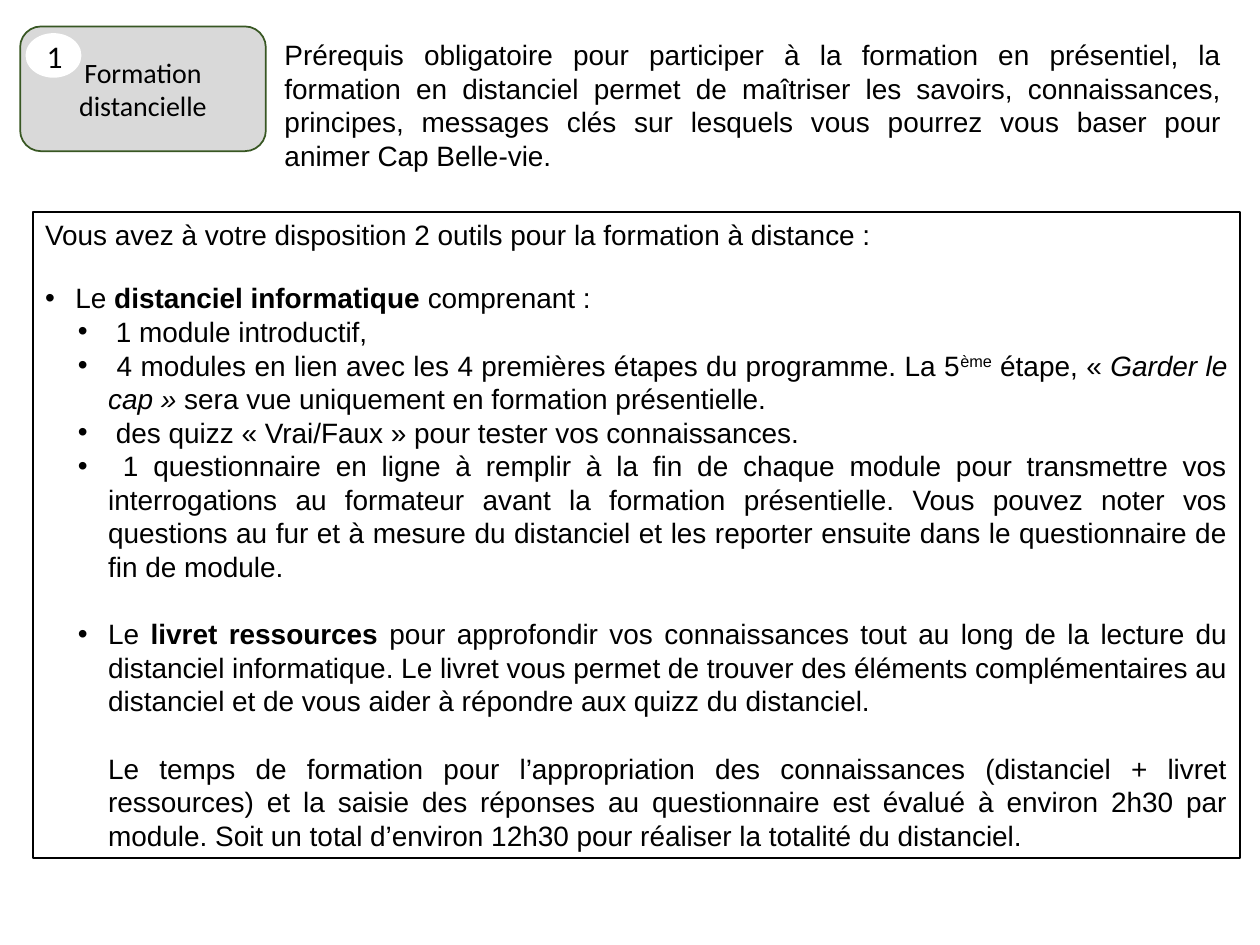
"""Build the slide presenting the distance-learning part of the training."""
from dataclasses import dataclass
from typing import Optional

from lxml import etree
from pptx import Presentation
from pptx.dml.color import RGBColor
from pptx.enum.shapes import MSO_SHAPE
from pptx.enum.text import MSO_ANCHOR, MSO_AUTO_SIZE, PP_ALIGN
from pptx.oxml.ns import qn
from pptx.util import Inches, Pt

BLACK = RGBColor(0x00, 0x00, 0x00)
WHITE = RGBColor(0xFF, 0xFF, 0xFF)
GREY = RGBColor(0xD9, 0xD9, 0xD9)
GREEN = RGBColor(0x38, 0x57, 0x23)

ROUNDED, OVAL, RECTANGLE = MSO_SHAPE.ROUNDED_RECTANGLE, MSO_SHAPE.OVAL, MSO_SHAPE.RECTANGLE
TOP, MIDDLE = MSO_ANCHOR.TOP, MSO_ANCHOR.MIDDLE
CENTER, JUSTIFY = PP_ALIGN.CENTER, PP_ALIGN.JUSTIFY
FIT_SHAPE = MSO_AUTO_SIZE.SHAPE_TO_FIT_TEXT

COLUMNS, ROWS = 1000, 750
BULLET_HANG = 0.24
SUBLEVEL_MARGIN = 0.5
SMALL_GAP, LINE_GAP = 16.8, 19.2


@dataclass(frozen=True)
class Span:
    """A stretch of text with its emphasis."""
    text: str
    bold: bool = False
    italic: bool = False
    superscript: bool = False


@dataclass(frozen=True)
class Item:
    """A paragraph with its level, bullet and space before in points."""
    spans: tuple[Span, ...]
    level: int = 0
    bullet: bool = False
    gap: float = 0


@dataclass(frozen=True)
class Panel:
    """A text panel placed in grid columns and rows."""
    column: int
    row: int
    width: int
    height: int
    items: tuple[Item, ...]
    geometry: Optional[MSO_SHAPE] = None
    fill: RGBColor = WHITE
    line: RGBColor = BLACK
    font: str = "Arial"
    size: int = 16
    align: PP_ALIGN = JUSTIFY
    anchor: MSO_ANCHOR = TOP


def plain(text: str, level: int = 0, bullet: bool = False, gap: float = 0) -> Item:
    """Return a paragraph without emphasis."""
    return Item((Span(text),), level, bullet, gap)


PANELS = (
    Panel(16, 21, 195, 99, (plain("Formation distancielle"),), ROUNDED, GREY, GREEN,
          "Calibri", 16, CENTER, MIDDLE),
    Panel(21, 27, 43, 34, (plain("1"),), OVAL, WHITE, WHITE, "Calibri", 18, CENTER, MIDDLE),
    Panel(26, 168, 958, 513, (
        plain("Vous avez à votre disposition 2 outils pour la formation à distance :"),
        Item((Span("Le "), Span("distanciel informatique ", bold=True),
              Span("comprenant :")), 0, True, SMALL_GAP),
        plain(" 1 module introductif,", 1, True),
        Item((Span(" 4 modules en lien avec les 4 premières étapes du programme. La 5"),
              Span("ème", superscript=True), Span(" étape, « "),
              Span("Garder le cap » ", italic=True),
              Span("sera vue uniquement en formation présentielle.")), 1, True),
        plain(" des quizz « Vrai/Faux » pour tester vos connaissances.", 1, True),
        plain(" 1 questionnaire en ligne à remplir à la fin de chaque module pour transmettre "
              "vos interrogations au formateur avant la formation présentielle. Vous pouvez "
              "noter vos questions au fur et à mesure du distanciel et les reporter ensuite "
              "dans le questionnaire de fin de module.", 1, True),
        Item((Span("Le "), Span("livret ressources ", bold=True),
              Span("pour approfondir vos connaissances tout au long de la lecture du "
                   "distanciel informatique. Le livret vous permet de trouver des éléments "
                   "complémentaires au distanciel et de vous aider à répondre aux quizz du "
                   "distanciel.")), 1, True, LINE_GAP),
        plain("Le temps de formation pour l’appropriation des connaissances (distanciel + "
              "livret ressources) et la saisie des réponses au questionnaire est évalué à "
              "environ 2h30 par module. Soit un total d’environ 12h30 pour réaliser la "
              "totalité du distanciel.", 1, False, LINE_GAP),
    ), RECTANGLE),
    Panel(216, 25, 763, 117, (
        plain("Prérequis obligatoire pour participer à la formation en présentiel, la "
              "formation en distanciel permet de maîtriser les savoirs, connaissances, "
              "principes, messages clés sur lesquels vous pourrez vous baser pour animer "
              "Cap Belle-vie."),)),
)


def set_indent(paragraph, item: Item) -> None:
    """Set the margin, hanging indent and bullet of a paragraph."""
    margin = SUBLEVEL_MARGIN if item.level else BULLET_HANG * item.bullet
    properties = paragraph._p.get_or_add_pPr()
    properties.set("marL", str(Inches(margin)))
    properties.set("indent", str(-Inches(BULLET_HANG) if item.bullet else 0))
    if item.bullet:
        etree.SubElement(properties, qn("a:buFont"), typeface="Arial")
        etree.SubElement(properties, qn("a:buChar"), char="•")
    else:
        etree.SubElement(properties, qn("a:buNone"))


def write_item(paragraph, item: Item, panel: Panel) -> None:
    """Write one paragraph of a panel."""
    set_indent(paragraph, item)
    paragraph.level = item.level
    paragraph.alignment = panel.align
    if item.gap:
        paragraph.space_before = Pt(item.gap)
    paragraph.font.name = panel.font
    paragraph.font.size = Pt(panel.size)
    paragraph.font.color.rgb = BLACK
    for span in item.spans:
        run = paragraph.add_run()
        run.text = span.text
        if span.bold:
            run.font.bold = True
        if span.italic:
            run.font.italic = True
        if span.superscript:
            run._r.get_or_add_rPr().set("baseline", "30000")


def draw_panel(slide, panel: Panel, column: float, row: float) -> None:
    """Draw a panel as a filled shape, or as a text box when it has no geometry."""
    place = (round(panel.column * column), round(panel.row * row),
             round(panel.width * column), round(panel.height * row))
    if panel.geometry is None:
        shape = slide.shapes.add_textbox(*place)
    else:
        shape = slide.shapes.add_shape(panel.geometry, *place)
        shape.shadow.inherit = False
        shape.fill.solid()
        shape.fill.fore_color.rgb = panel.fill
        shape.line.color.rgb = panel.line
        shape.line.width = Pt(1)
    frame = shape.text_frame
    frame.word_wrap = True
    frame.vertical_anchor = panel.anchor
    if panel.anchor == TOP:
        frame.auto_size = FIT_SHAPE
    for index, item in enumerate(panel.items):
        paragraph = frame.add_paragraph() if index else frame.paragraphs[0]
        write_item(paragraph, item, panel)


def main() -> None:
    """Build and save the presentation."""
    presentation = Presentation()
    presentation.slide_width, presentation.slide_height = Inches(10), Inches(7.5)
    slide = presentation.slides.add_slide(presentation.slide_layouts[6])
    column = presentation.slide_width / COLUMNS
    row = presentation.slide_height / ROWS
    for panel in PANELS:
        draw_panel(slide, panel, column, row)
    presentation.save("out.pptx")


if __name__ == "__main__":
    main()
